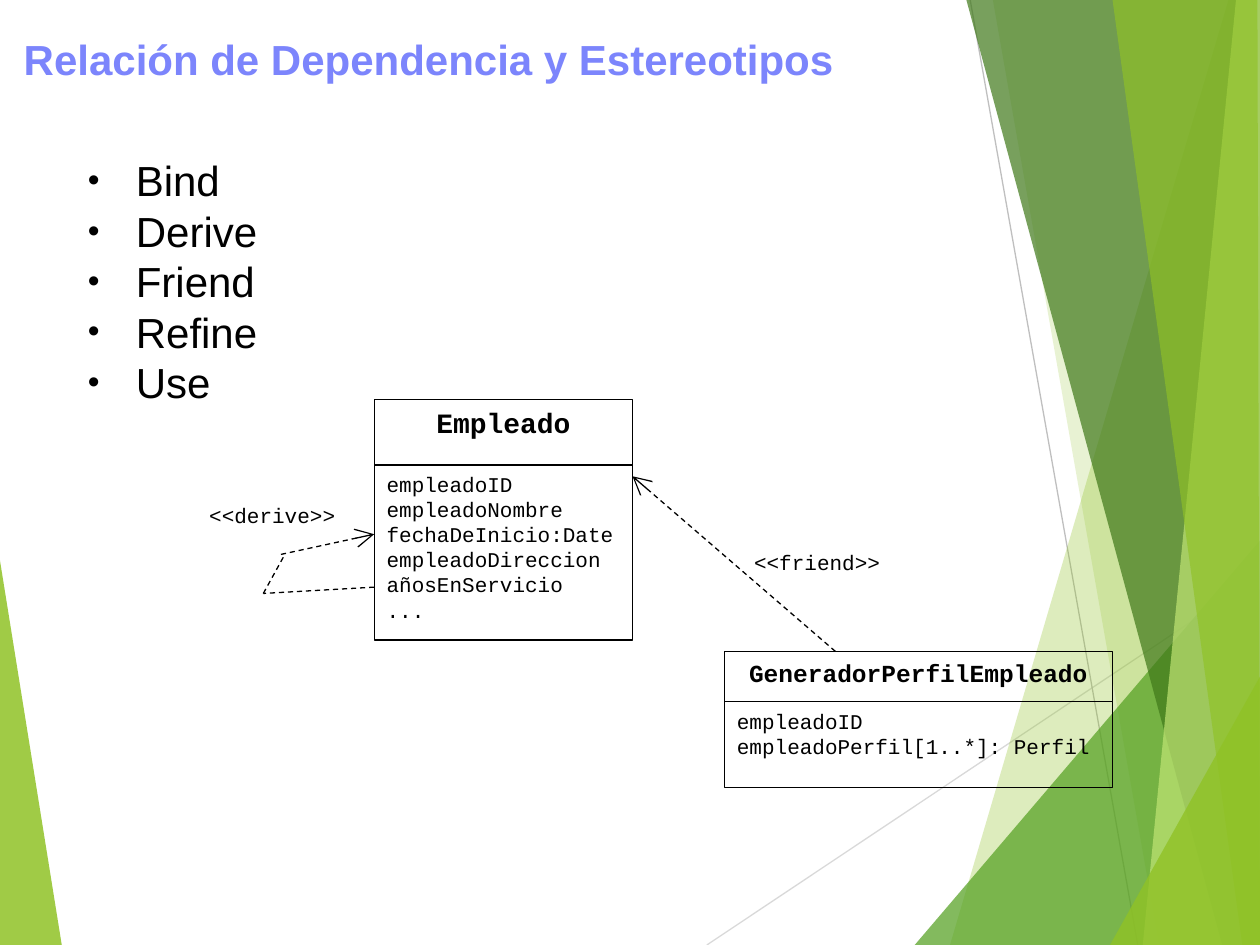
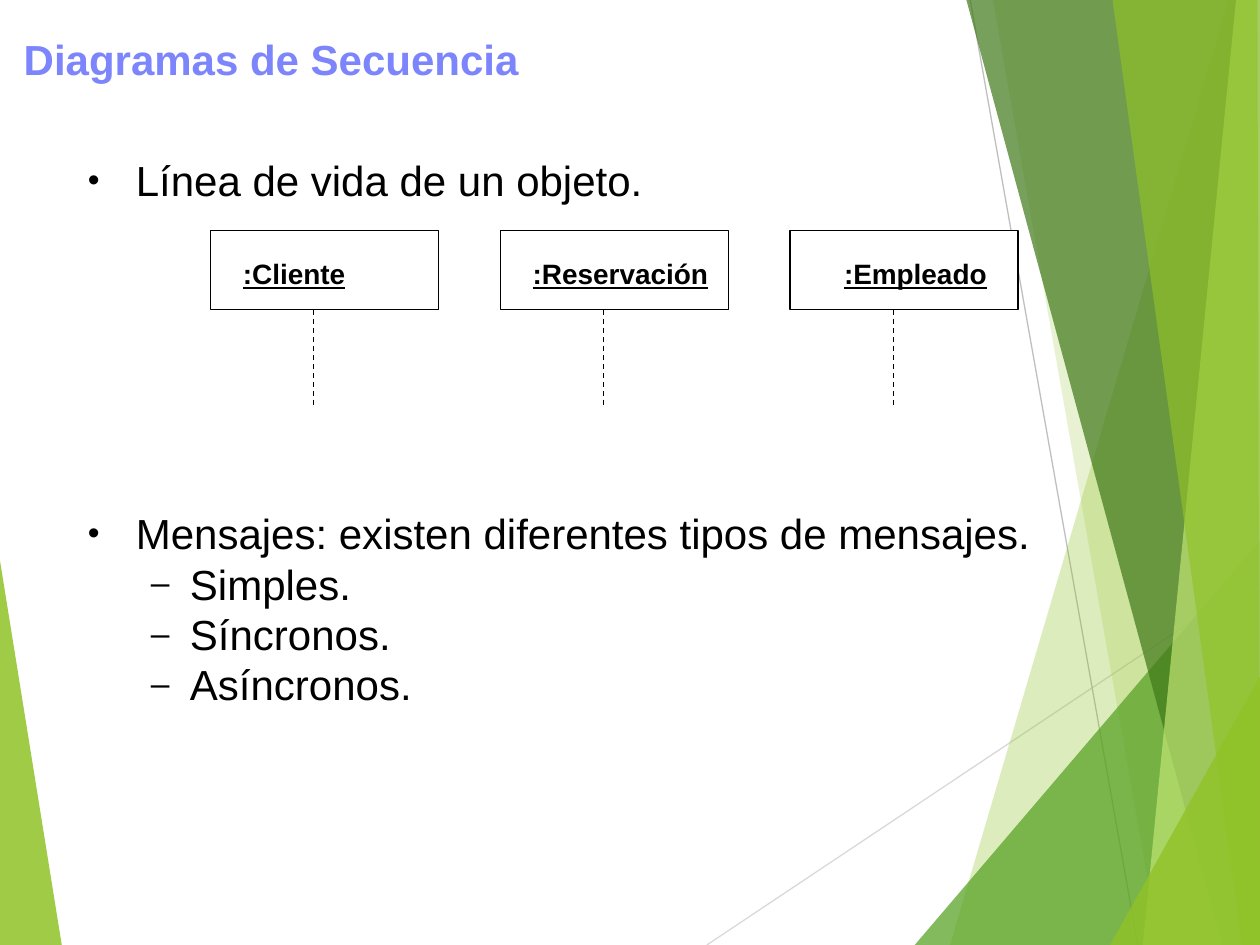
from lxml import etree
from pptx import Presentation
from pptx.dml.color import RGBColor
from pptx.enum.dml import MSO_LINE
from pptx.enum.shapes import MSO_CONNECTOR, MSO_SHAPE
from pptx.enum.text import MSO_ANCHOR, PP_ALIGN
from pptx.oxml.ns import qn
from pptx.util import Inches, Pt

RECT, STRAIGHT, DASH = MSO_SHAPE.RECTANGLE, MSO_CONNECTOR.STRAIGHT, MSO_LINE.DASH
LEFT, CENTER = PP_ALIGN.LEFT, PP_ALIGN.CENTER
TOP, BOTTOM = MSO_ANCHOR.TOP, MSO_ANCHOR.BOTTOM

BLACK = RGBColor(0x00, 0x00, 0x00)
WHITE = RGBColor(0xFF, 0xFF, 0xFF)
TITLE_BLUE = RGBColor(0x7C, 0x85, 0xFC)
LIME = RGBColor(0x90, 0xC2, 0x26)
GREEN = RGBColor(0x54, 0xA0, 0x21)
DARK_GREEN = RGBColor(0x3F, 0x78, 0x19)
PALE_LIME = RGBColor(0xC0, 0xE4, 0x74)
LIGHT_GREY = RGBColor(0xD9, 0xD9, 0xD9)
GREY = RGBColor(0xBF, 0xBF, 0xBF)
SANS, MONO = "Arial", "Courier New"
W, H = 10, 7.5
LEADING = 1.2  # line pitch as a multiple of the text size

# Shared decoration: (colour, opacity %, corners), from back to front
LEFT_BAND = (LIME, 85, [(0, 4.45), (0.49, H), (0, H)])
RIGHT_BANDS = [
    (LIME, 30, [(9.75, 0), (7.54, H), (W, H), (W, 0)]),
    (LIME, 20, [(7.88, 0), (9.2, H), (W, H), (W, 0)]),
    (GREEN, 72, [(7.26, H), (W, 4.29), (W, H)]),
    (DARK_GREEN, 70, [(7.67, 0), (9.7, H), (W, H), (W, 0)]),
    (PALE_LIME, 70, [(9.81, 0), (9.07, H), (W, H), (W, 0)]),
    (LIME, 65, [(8.83, 0), (9.86, H), (W, H), (9.98, 0)]),
    (LIME, 80, [(8.81, H), (W, 5.37), (W, H)]),
]
HAIRLINES = [(LIGHT_GREY, (5.61, H), (W, 4.57)), (GREY, (7.7, 0), (9.03, H))]

# Bullets: (level, text, blank lines above)
STEREOTYPES = [(0, name, 0) for name in ("Bind", "Derive", "Friend", "Refine", "Use")]
SEQUENCE_POINTS = [
    (0, "Línea de vida de un objeto.", 0),
    (0, "Mensajes: existen diferentes tipos de mensajes.", 6),
    (1, "Simples.", 0),
    (1, "Síncronos.", 0),
    (1, "Asíncronos.", 0),
]
BULLET_LEVELS = [("•", 0.38, 0.38), ("–", 0.81, 0.31)]  # sign, margin, hanging

# Classes: name, size of name, left, top, width, heights of both parts, attributes
CLASSES = [
    ("GeneradorPerfilEmpleado", 14, 5.75, 5.17, 3.08, (0.4, 0.68),
     ["empleadoID", "empleadoPerfil[1..*]: Perfil"]),
    ("Empleado", 16, 2.97, 3.17, 2.05, (0.52, 1.39),
     ["empleadoID", "empleadoNombre", "fechaDeInicio:Date",
      "empleadoDireccion", "añosEnServicio", "..."]),
]
STEREOTYPE_LABELS = [("<<friend>>", 5.75, 4.31, 1.47), ("<<derive>>", 1.5, 3.94, 1.32)]
# Dependencies: start, end, arrowhead at the end
DEPENDENCIES = [
    ((6.63, 5.17), (5.02, 3.78), True),
    ((2.97, 4.66), (2.09, 4.71), False),
    ((2.09, 4.71), (2.25, 4.42), False),
    ((2.23, 4.4), (2.97, 4.24), True),
]

# Lifelines: object, label inset from its box, label width
LIFELINES = [(":Cliente", 0.16, 1.48), (":Reservación", 0.16, 1.64), (":Empleado", 0.33, 1.48)]
OBJECT_LEFT, OBJECT_TOP, OBJECT_STEP = 1.67, 1.83, 2.3
OBJECT_W, OBJECT_H, LIFELINE_X, LIFELINE_H = 1.81, 0.63, 0.82, 0.77


def add_line(slide, start, end, color=BLACK, dashed=False, arrow=False):
    line = slide.shapes.add_connector(STRAIGHT, *map(Inches, start + end))
    line.line.color.rgb = color
    line.line.width = Pt(0.75)
    if dashed:
        line.line.dash_style = DASH
    properties = line._element.spPr
    if arrow:
        etree.SubElement(properties.find(qn("a:ln")), qn("a:tailEnd"),
                         type="arrow", w="lg", len="lg")
    etree.SubElement(properties, qn("a:effectLst"))


def add_band(slide, color, opacity, corners):
    points = [(Inches(x), Inches(y)) for x, y in corners]
    builder = slide.shapes.build_freeform(*points[0], scale=1.0)
    builder.add_line_segments(points[1:], close=True)
    band = builder.convert_to_shape()
    band.shadow.inherit = False
    band.line.fill.background()
    band.fill.solid()
    band.fill.fore_color.rgb = color
    for rgb in band._element.spPr.iter(qn("a:srgbClr")):
        etree.SubElement(rgb, qn("a:alpha"), val=str(opacity * 1000))


def add_box(slide, area, fill=None):
    box = slide.shapes.add_shape(RECT, *map(Inches, area))
    box.shadow.inherit = False
    if fill is None:
        box.fill.background()
    else:
        box.fill.solid()
        box.fill.fore_color.rgb = fill
    box.line.color.rgb = BLACK
    box.line.width = Pt(0.75)
    return box


def write(holder, lines, size, font, color=BLACK, align=LEFT, anchor=TOP,
          bold=False, underline=None, leading=None):
    frame = holder.text_frame
    frame.word_wrap = True
    frame.vertical_anchor = anchor
    frame.text = "\n".join(lines)
    for paragraph in frame.paragraphs:
        paragraph.alignment = align
        paragraph.line_spacing = leading or Pt(size * LEADING)
        for run in paragraph.runs:
            run.font.size = Pt(size)
            run.font.name = font
            run.font.color.rgb = color
            run.font.bold = bold
            run.font.underline = underline
    return frame


def add_text(slide, area, *args, **style):
    return write(slide.shapes.add_textbox(*map(Inches, area)), *args, **style)


def add_bullets(slide, points):
    frame = add_text(slide, (0.6, 1.18, 8.8, 5.38), [text for _, text, _ in points], 24, SANS)
    for paragraph, (level, _, blanks) in zip(frame.paragraphs, points):
        sign, margin, hanging = BULLET_LEVELS[level]
        paragraph.level = level
        properties = paragraph._p.get_or_add_pPr()
        properties.set("marL", str(Inches(margin)))
        properties.set("indent", str(-Inches(hanging)))
        color = etree.SubElement(properties, qn("a:buClr"))
        etree.SubElement(color, qn("a:srgbClr"), val=str(BLACK))
        etree.SubElement(properties, qn("a:buSzPct"), val="80000")
        etree.SubElement(properties, qn("a:buFont"), typeface=SANS)
        etree.SubElement(properties, qn("a:buChar"), char=sign)
        if blanks:
            paragraph.space_before = Pt(blanks * 24 * LEADING)


def new_slide(prs):
    slide = prs.slides.add_slide(prs.slide_layouts[6])
    add_band(slide, *LEFT_BAND)
    for color, start, end in HAIRLINES:
        add_line(slide, start, end, color)
    for band in RIGHT_BANDS:
        add_band(slide, *band)
    return slide


def add_title(slide, title):
    add_text(slide, (0.09, 0.09, 9.8, 0.63), [title], 24, SANS, TITLE_BLUE,
             anchor=BOTTOM, bold=True, leading=0.9)


def add_class(slide, name, size, left, top, width, heights, attributes):
    head, body = heights
    write(add_box(slide, (left, top, width, head)), [name], size, MONO, align=CENTER, bold=True)
    frame = write(add_box(slide, (left, top + head, width, body)), attributes, 12, MONO)
    frame.margin_right = 0


def build_dependency(prs):
    slide = new_slide(prs)
    for uml_class in CLASSES:
        add_class(slide, *uml_class)
    for label, left, top, width in STEREOTYPE_LABELS:
        add_text(slide, (left, top, width, 0.35), [label], 12, MONO, align=CENTER)
    for start, end, arrow in DEPENDENCIES:
        add_line(slide, start, end, dashed=True, arrow=arrow)
    add_title(slide, "Relación de Dependencia y Estereotipos")
    add_bullets(slide, STEREOTYPES)


def build_sequence(prs):
    slide = new_slide(prs)
    bottom = OBJECT_TOP + OBJECT_H
    for column, (name, inset, label_width) in enumerate(LIFELINES):
        left = OBJECT_LEFT + column * OBJECT_STEP
        add_box(slide, (left, OBJECT_TOP, OBJECT_W, OBJECT_H), WHITE)
        x = left + LIFELINE_X
        add_line(slide, (x, bottom), (x, bottom + LIFELINE_H), dashed=True)
        # The label has no fill, so the border of its box stays whole
        add_text(slide, (left + inset, OBJECT_TOP + 0.16, label_width, 0.47),
                 [name], 16, SANS, bold=True, underline=True)
    add_title(slide, "Diagramas de Secuencia")
    add_bullets(slide, SEQUENCE_POINTS)


def main():
    prs = Presentation()
    prs.slide_width, prs.slide_height = Inches(W), Inches(H)
    build_dependency(prs)
    build_sequence(prs)
    prs.save("out.pptx")


if __name__ == "__main__":
    main()
